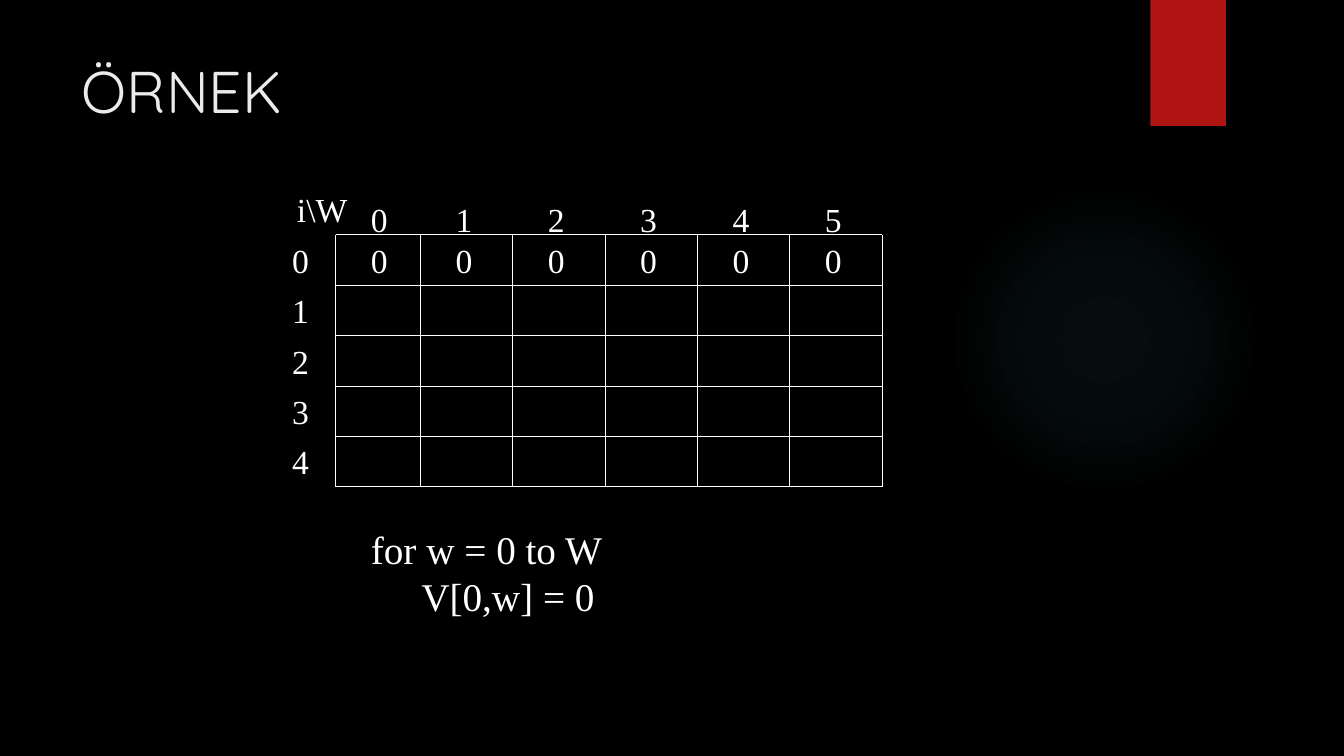
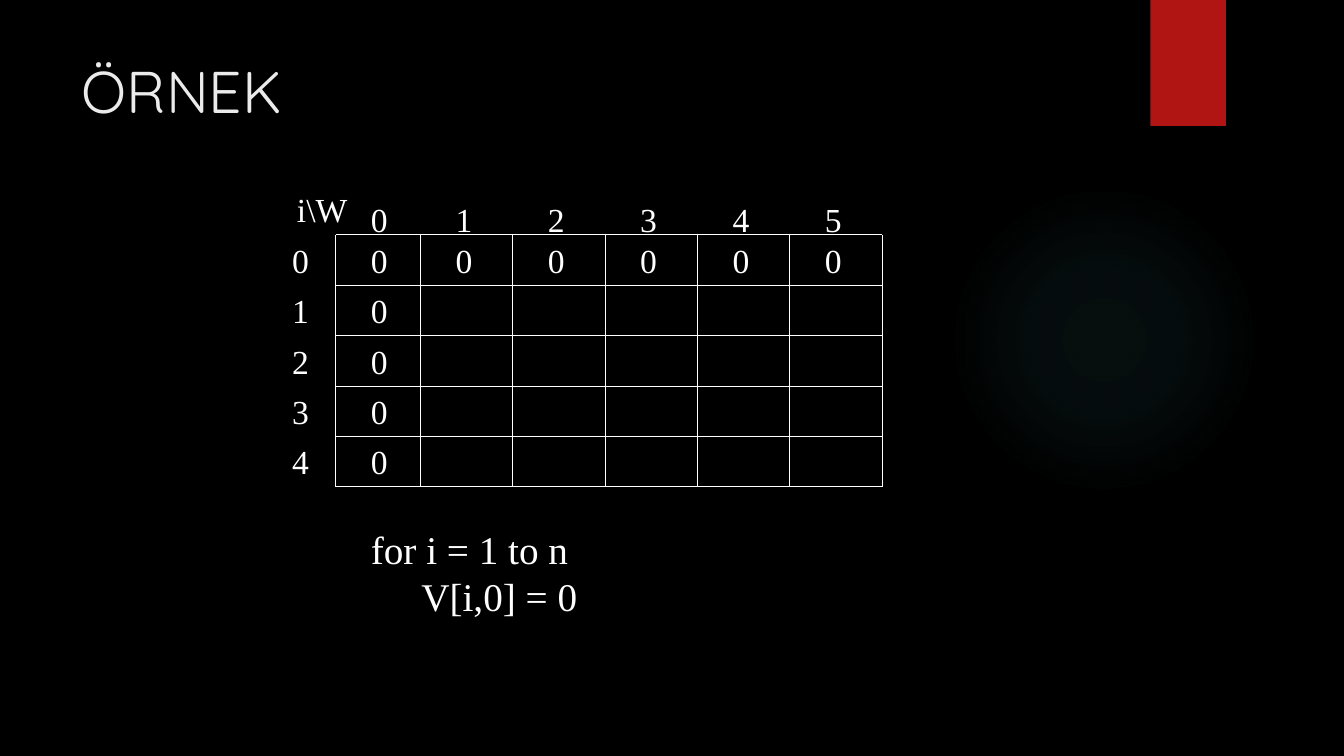
from lxml import etree
from pptx import Presentation
from pptx import util as u
from pptx.dml import color
from pptx.enum import shapes, text
from pptx.oxml import ns

BLACK, WHITE, TITLE_GREY = "000000", "FFFFFF", "EBEBEB"
RED, TEAL = "B01513", "50B9C1"
TITLE_FONT, BODY_FONT = "Quicksand", "Times New Roman"

WEIGHTS = range(6)
ITEMS = range(5)
GRID_LEFT, GRID_TOP, GRID_RIGHT = 3.33, 2.33, 8.75
FIRST_WIDTH, ROW_HEIGHT = 0.84, 0.5
OTHER_WIDTH = (GRID_RIGHT - GRID_LEFT - FIRST_WIDTH) / (len(WEIGHTS) - 1)
COLUMN_EDGES = [GRID_LEFT] + [
    GRID_LEFT + FIRST_WIDTH + OTHER_WIDTH * weight for weight in WEIGHTS]
ROW_EDGES = [GRID_TOP + ROW_HEIGHT * row for row in range(len(ITEMS) + 1)]
DIGIT_OFFSET = 0.25
ITEM_LABEL_LEFT, WEIGHT_LABEL_TOP = 2.8, 1.92

FIRST_ROW = {(0, weight) for weight in WEIGHTS}
FIRST_COLUMN = {(item, 0) for item in ITEMS}
STEPS = [
    (FIRST_ROW, ["for w = 0 to W", "V[0,w] = 0"]),
    (FIRST_ROW | FIRST_COLUMN, ["for i = 1 to n", "V[i,0] = 0"]),
]


def rgb(value):
    """Turn a hex string into a colour."""
    return color.RGBColor.from_string(value)


def style(paragraph, size, font=BODY_FONT, colour=WHITE):
    """Format every run of a paragraph."""
    for run in paragraph.runs:
        run.font.size = u.Pt(size)
        run.font.name = font
        run.font.color.rgb = rgb(colour)


def child(parent, tag, **attributes):
    """Append a DrawingML element and return it."""
    return etree.SubElement(parent, ns.qn(f"a:{tag}"), attributes)


def add_plain_shape(slide, kind, left, top, width, height):
    """Add a shape without line or shadow."""
    shape = slide.shapes.add_shape(
        kind, u.Inches(left), u.Inches(top), u.Inches(width), u.Inches(height))
    shape.shadow.inherit = False
    shape.line.fill.background()
    return shape


def fill_with_glow(shape, colour, stops):
    """Fill a shape with a round gradient; stops are (position, opacity) in percent."""
    shape.fill.background()
    properties = shape.element.spPr
    glow = etree.Element(ns.qn("a:gradFill"), {"rotWithShape": "1"})
    stop_list = child(glow, "gsLst")
    for position, opacity in stops:
        stop = child(stop_list, "gs", pos=str(position * 1000))
        tint = child(stop, "srgbClr", val=colour)
        child(tint, "alpha", val=str(opacity * 1000))
    circle = child(glow, "path", path="circle")
    child(circle, "fillToRect", l="50000", t="50000", r="50000", b="50000")
    properties.replace(properties.find(ns.qn("a:noFill")), glow)


def design_layout(prs, layout):
    """Put the background, glow, ribbon and title position on the layout."""
    layout.background.fill.solid()
    layout.background.fill.fore_color.rgb = rgb(BLACK)
    for holder in list(layout.placeholders):
        if holder.placeholder_format.type != shapes.PP_PLACEHOLDER.TITLE:
            holder.element.getparent().remove(holder.element)
    title = layout.placeholders[0]
    title.left, title.top = u.Inches(0.71), u.Inches(0.49)
    title.width, title.height = u.Inches(10.29), u.Inches(1.53)
    title.text_frame.vertical_anchor = text.MSO_ANCHOR.TOP

    first = prs.slides.add_slide(layout)
    glow = add_plain_shape(first, shapes.MSO_SHAPE.OVAL, 9.41, 1.83, 3.08, 3.08)
    fill_with_glow(glow, TEAL, [(0, 7), (36, 6), (69, 0)])
    ribbon = add_plain_shape(first, shapes.MSO_SHAPE.RECTANGLE, 11.41, 0, 0.75, 1.25)
    ribbon.fill.solid()
    ribbon.fill.fore_color.rgb = rgb(RED)
    for decoration in (glow, ribbon):
        layout.shapes.element.append(decoration.element)
    return first


def set_title(slide, words):
    """Write the slide title."""
    slide.shapes.title.text_frame.text = words
    heading = slide.shapes.title.text_frame.paragraphs[0]
    heading.alignment = text.PP_ALIGN.LEFT
    style(heading, 42, TITLE_FONT, TITLE_GREY)


def add_lines(slide, lines, left, top, width, height, size, indent=0):
    """Add a text box whose lines are indented step by step."""
    box = slide.shapes.add_textbox(
        u.Inches(left), u.Inches(top), u.Inches(width), u.Inches(height))
    box.text_frame.word_wrap = True
    box.text_frame.text = "\n".join(lines)
    for level, paragraph in enumerate(box.text_frame.paragraphs):
        style(paragraph, size)
        if level:
            paragraph._p.get_or_add_pPr().set("marL", str(u.Inches(indent * level)))
    return box


def add_digit(slide, digit, left, top):
    """Add one digit of the grid or its labels."""
    box = add_lines(slide, [str(digit)], left, top, 0.37, 0.5, 24)
    box.text_frame.word_wrap = False


def add_rule(slide, x1, y1, x2, y2):
    """Draw a thin white grid line."""
    rule = slide.shapes.add_connector(
        shapes.MSO_CONNECTOR.STRAIGHT,
        u.Inches(x1), u.Inches(y1), u.Inches(x2), u.Inches(y2))
    rule.line.color.rgb = rgb(WHITE)
    rule.line.width = u.Pt(0.75)
    child(rule.element.spPr, "effectLst")


def add_value_grid(slide, zeros):
    """Draw the grid with its item labels, weight labels and zeros."""
    for x in COLUMN_EDGES:
        add_rule(slide, x, ROW_EDGES[0], x, ROW_EDGES[-1])
    for y in ROW_EDGES:
        add_rule(slide, COLUMN_EDGES[0], y, COLUMN_EDGES[-1], y)
    for weight in WEIGHTS:
        add_digit(slide, weight, COLUMN_EDGES[weight] + DIGIT_OFFSET, WEIGHT_LABEL_TOP)
    for item in ITEMS:
        add_digit(slide, item, ITEM_LABEL_LEFT, ROW_EDGES[item])
    for item, weight in sorted(zeros):
        add_digit(slide, 0, COLUMN_EDGES[weight] + DIGIT_OFFSET, ROW_EDGES[item])
    corner = add_lines(slide, ["i\\W"], 2.82, 1.83, 0.75, 0.5, 24)
    corner.text_frame.paragraphs[0].alignment = text.PP_ALIGN.CENTER


def fill_slide(slide, zeros, code):
    """Place the title, grid and code of one step."""
    set_title(slide, "ÖRNEK")
    add_lines(slide, code, 3.58, 5.16, 3.75, 1.03, 28, indent=0.5)
    add_value_grid(slide, zeros)


def main():
    """Build and save the presentation."""
    prs = Presentation()
    prs.slide_width, prs.slide_height = u.Inches(13.33), u.Inches(7.5)
    layout = prs.slide_layouts.get_by_name("Title Only")
    first = design_layout(prs, layout)
    slides = [first] + [prs.slides.add_slide(layout) for _ in STEPS[1:]]
    for slide, (zeros, code) in zip(slides, STEPS):
        fill_slide(slide, zeros, code)
    prs.save("out.pptx")


main()
